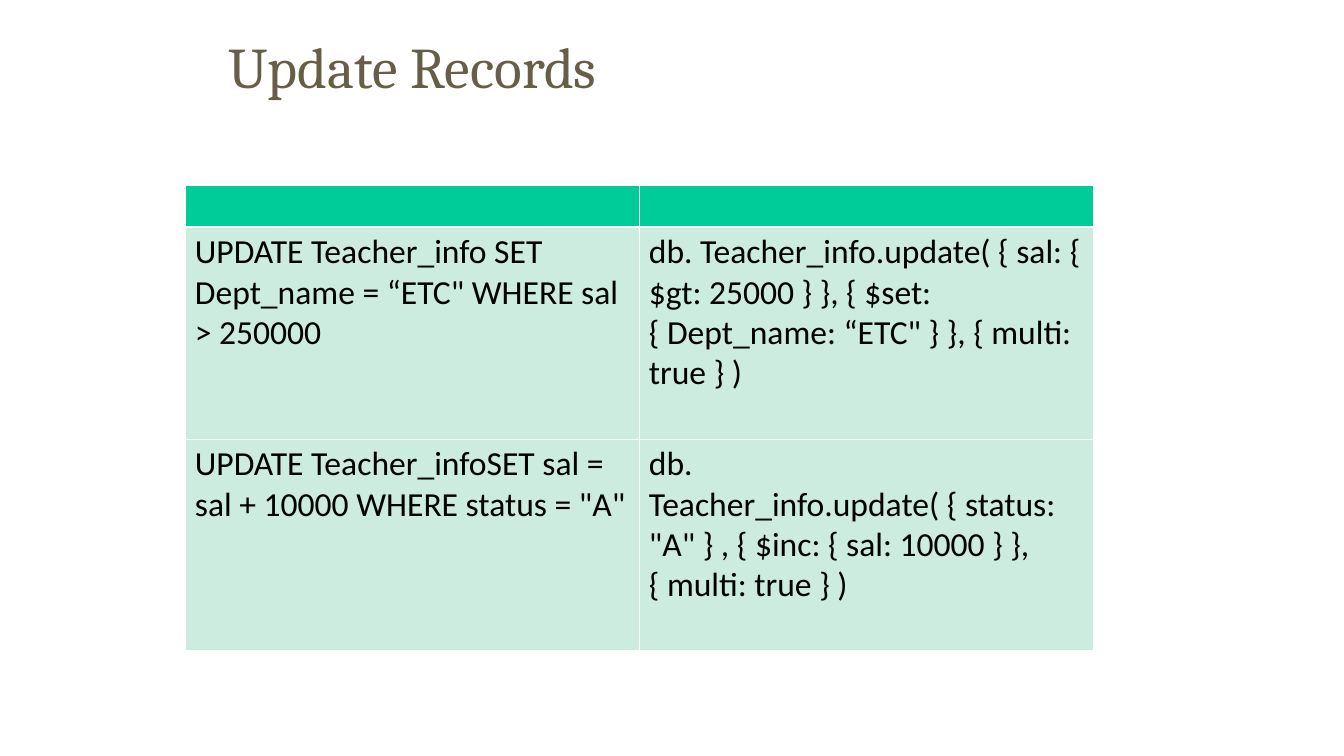
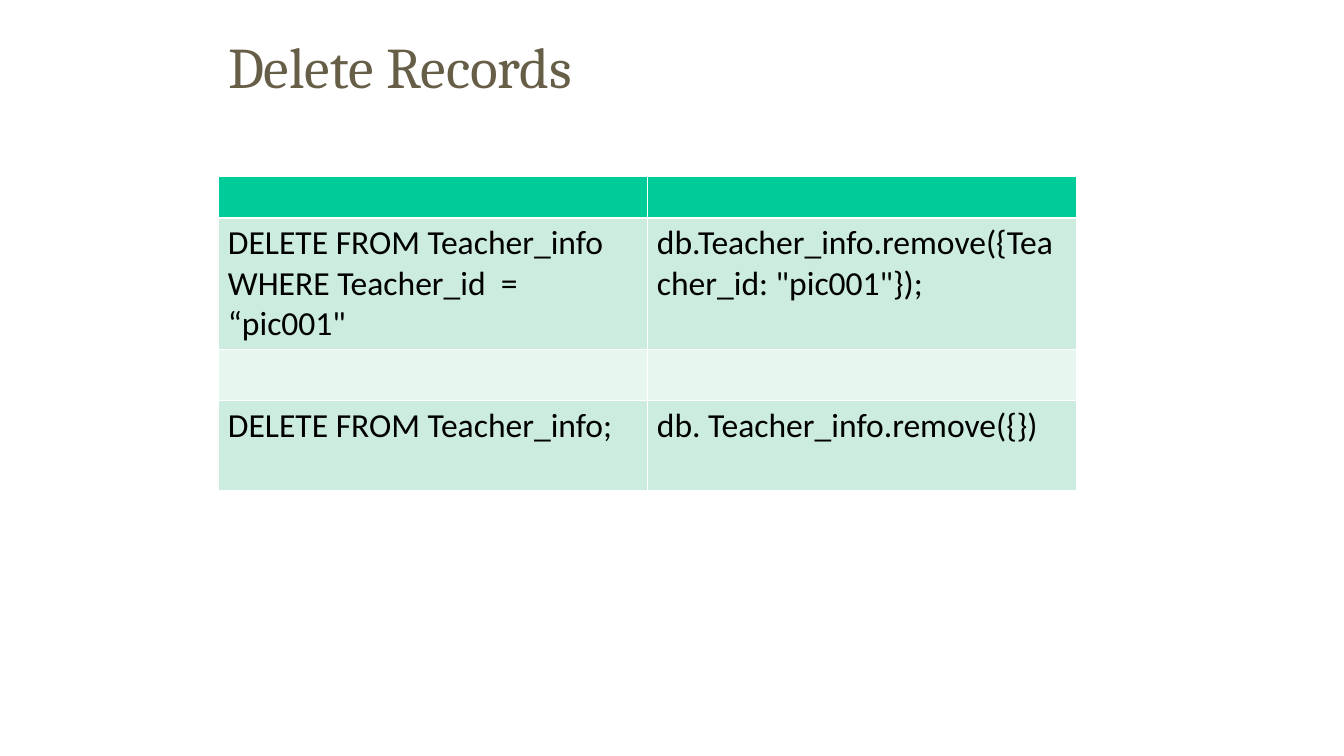
from dataclasses import dataclass

from lxml import etree
from pptx import Presentation
from pptx import util as u
from pptx.dml.color import RGBColor
from pptx.enum import text
from pptx.oxml import ns

GLUE = "~"  # stands for a space at which a line must not break

SLIDES = [
    {
        "title": "Update Records",
        "left": 185, "top": 185, "column": 454,
        "heights": [42, 212, 212],
        "rows": [
            ("", ""),
            ('UPDATE Teacher_info SET Dept_name = “ETC" WHERE sal > 250000',
             'db. Teacher_info.update( { sal: { $gt: 25000 } }, { $set: '
             '{~Dept_name: “ETC" } }, { multi: true } )'),
            ('UPDATE Teacher_infoSET sal = sal + 10000 WHERE status = "A"',
             'db. Teacher_info.update(~{~status: "A" } , { $inc: { sal: 10000 } }, '
             '{~multi: true } )'),
        ],
        "fills": ["header", "band", "band"],
    },
    {
        "title": "Delete Records",
        "left": 218, "top": 176, "column": 429,
        "heights": [42, 131, 52, 90],
        "rows": [
            ("", ""),
            ('DELETE FROM Teacher_info WHERE Teacher_id  = “pic001"',
             'db.Teacher_info.remove({Teacher_id: "pic001"});'),
            ("", ""),
            ("DELETE FROM Teacher_info;", "db. Teacher_info.remove({})"),
        ],
        "fills": ["header", "band", "light"],
    },
]
SLIDES[1]["fills"].append("band")


@dataclass(frozen=True)
class Theme:
    header: str = "00CC99"
    band: str = "CBECDE"
    light: str = "E7F6EF"
    border: str = "FFFFFF"
    title: str = "675E47"
    body: str = "000000"
    title_font: str = "Cambria"
    body_font: str = "Calibri"
    title_size: float = 30.8
    body_size: float = 18
    empty_size: float = 12
    thin: float = 0.45
    thick: float = 1.47
    line_spacing: float = 0.98


THEME = Theme()
TITLE_BOX = (218, 31, 840, 126)
MARGIN_X, MARGIN_Y = 10, 5


def px(length):
    return u.Emu(round(length * 914400 / 134.4))


def style_font(font, name, size, color):
    font.name = name
    font.size = u.Pt(size)
    font.color.rgb = RGBColor.from_string(color)


def add_title(page, words):
    box = page.shapes.title
    box.left, box.top, box.width, box.height = map(px, TITLE_BOX)
    frame = box.text_frame
    frame.text = words
    frame.word_wrap = True
    frame.auto_size = text.MSO_AUTO_SIZE.NONE
    frame.vertical_anchor = text.MSO_ANCHOR.TOP
    frame.margin_left = frame.margin_right = px(MARGIN_X)
    frame.margin_top = frame.margin_bottom = 0
    para = frame.paragraphs[0]
    para.alignment = text.PP_ALIGN.LEFT
    style_font(para.runs[0].font, THEME.title_font, THEME.title_size, THEME.title)


def add_borders(cell, widths):
    """Draw the cell's edges; widths holds points for left, right, top, bottom."""
    properties = cell._tc.get_or_add_tcPr()
    for side, width in zip("LRTB", widths):
        line = etree.SubElement(properties, ns.qn(f"a:ln{side}"), w=str(u.Pt(width)))
        fill = etree.SubElement(line, ns.qn("a:solidFill"))
        etree.SubElement(fill, ns.qn("a:srgbClr"), val=THEME.border)


def fill_cell(cell, words, color, widths):
    add_borders(cell, widths)
    cell.fill.solid()
    cell.fill.fore_color.rgb = RGBColor.from_string(color)
    cell.margin_left = cell.margin_right = px(MARGIN_X)
    cell.margin_top = cell.margin_bottom = px(MARGIN_Y)
    para = cell.text_frame.paragraphs[0]
    if words:
        para.text = words.replace(GLUE, chr(160))
        para.line_spacing = THEME.line_spacing
        style_font(para.runs[0].font, THEME.body_font, THEME.body_size, THEME.body)
    else:
        etree.SubElement(para._p, ns.qn("a:endParaRPr"),
                         sz=str(round(THEME.empty_size * 100)))


def add_code_table(page, content):
    rows, heights = content["rows"], content["heights"]
    count = len(rows[0])
    table = page.shapes.add_table(
        len(rows), count, px(content["left"]), px(content["top"]),
        px(content["column"] * count), px(sum(heights))).table
    table.first_row = table.horz_banding = False
    for column in table.columns:
        column.width = px(content["column"])
    for row, (words, height, fill) in enumerate(zip(rows, heights, content["fills"])):
        table.rows[row].height = px(height)
        above = THEME.thick if row == 1 else THEME.thin
        below = THEME.thick if row == 0 else THEME.thin
        for column, phrase in enumerate(words):
            fill_cell(table.cell(row, column), phrase, getattr(THEME, fill),
                      (THEME.thin, THEME.thin, above, below))


def main():
    deck = Presentation()
    deck.slide_width, deck.slide_height = px(1344), px(756)
    title_only = deck.slide_layouts[5]
    for content in SLIDES:
        page = deck.slides.add_slide(title_only)
        add_title(page, content["title"])
        add_code_table(page, content)
    deck.save("out.pptx")


if __name__ == "__main__":
    main()
